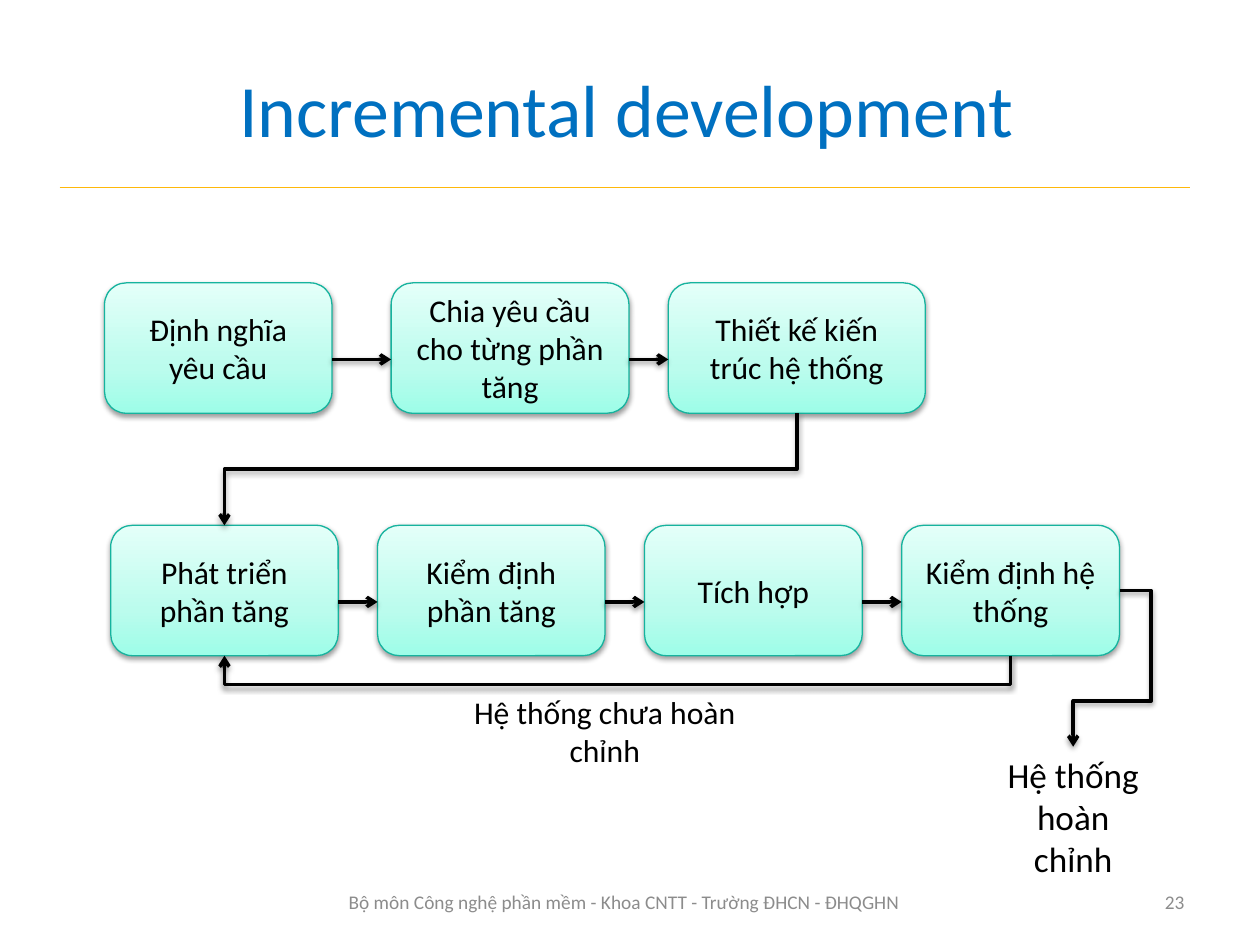
from copy import deepcopy
from itertools import pairwise

from lxml.etree import SubElement
from pptx import Presentation
from pptx.dml.color import RGBColor
from pptx.enum.shapes import MSO_CONNECTOR as CONN, MSO_SHAPE as SHAPE
from pptx.enum.text import MSO_ANCHOR as ANCHOR, PP_ALIGN as ALIGN
from pptx.oxml.ns import qn
from pptx.util import Pt

COLORS = {
    "title": "0070C0", "rule": "FEB80A", "ink": "000000", "footer": "8C8C8C",
    "edge": "16B39E", "low": "9DFDE8", "mid": "BBFCED", "high": "E4FFF9",
}
BOX_HEIGHT = 74.2
ARROW_DROP = 43.6  # from the top of a row to its arrows


def rgb(name):
    return RGBColor.from_string(COLORS[name])


class Diagram:
    font = "Calibri"

    def __init__(self, slide):
        self.shapes = slide.shapes

    def label(self, s, text, size, color="ink", align=ALIGN.CENTER, anchor=ANCHOR.MIDDLE):
        tf = s.text_frame
        tf.word_wrap = True
        tf.vertical_anchor = anchor
        p = tf.paragraphs[0]
        p.text = text
        p.alignment = align
        p.font.name, p.font.size = self.font, Pt(size)
        p.font.color.rgb = rgb(color)

    def text(self, x, y, w, h, text, size, **style):
        s = self.shapes.add_textbox(Pt(x), Pt(y), Pt(w), Pt(h))
        self.label(s, text, size, **style)

    def shadow(self, s):
        spPr = s.element.spPr
        effects = spPr.find(qn("a:effectLst"))
        if effects is None:
            effects = SubElement(spPr, qn("a:effectLst"))
        outer = SubElement(effects, qn("a:outerShdw"), blurRad=str(Pt(3.1)),
                           dist=str(Pt(1.6)), dir="5400000", rotWithShape="0")
        black = SubElement(outer, qn("a:srgbClr"), val=COLORS["ink"])
        SubElement(black, qn("a:alpha"), val="38000")

    def box(self, x, y, w, text):
        s = self.shapes.add_shape(SHAPE.ROUNDED_RECTANGLE, Pt(x), Pt(y), Pt(w), Pt(BOX_HEIGHT))
        s.fill.gradient()
        s.fill.gradient_angle = 90
        stops = s.element.spPr.find(".//" + qn("a:gsLst"))
        stops.append(deepcopy(stops[0]))
        for stop, pos, color in zip(s.fill.gradient_stops, (0, 0.35, 1), ("low", "mid", "high")):
            stop.position = pos
            stop.color.rgb = rgb(color)
        s.line.color.rgb, s.line.width = rgb("edge"), Pt(0.75)
        s.shadow.inherit = False
        self.shadow(s)
        self.label(s, text, 18)

    def row(self, x, y, steps):
        """Draw boxes (text, width, gap after) from left to right, joined by arrows."""
        spans = []
        for text, w, gap in steps:
            self.box(x, y, w, text)
            spans.append((x, x + w))
            x += w + gap
        for (_, start), (end, _) in pairwise(spans):
            self.arrow((start, y + ARROW_DROP), (end, y + ARROW_DROP))
        return spans

    def line(self, start, end, color, width):
        s = self.shapes.add_connector(CONN.STRAIGHT, *map(Pt, start + end))
        s.line.color.rgb, s.line.width = rgb(color), Pt(width)
        SubElement(s.element.spPr, qn("a:effectLst"))
        return s

    def arrow(self, *points):
        """Draw a straight arrow for two points, a routed one for more."""
        if len(points) == 2:
            s = self.line(*points, "ink", 2)
        else:
            first, *rest = [(Pt(x), Pt(y)) for x, y in points]
            route = self.shapes.build_freeform(*first)
            route.add_line_segments(rest, close=False)
            s = route.convert_to_shape()
            s.fill.background()
            s.line.color.rgb, s.line.width = rgb("ink"), Pt(2)
            s.shadow.inherit = False
        SubElement(s.element.spPr.find(qn("a:ln")), qn("a:tailEnd"), type="arrow")
        self.shadow(s)


def center(span):
    return sum(span) / 2


def main():
    prs = Presentation()
    prs.slide_width, prs.slide_height = Pt(717.12), Pt(537.84)
    d = Diagram(prs.slides.add_slide(prs.slide_layouts[6]))

    # Title and rule
    d.line((34, 106.6), (677.5, 106.6), "rule", 0.75)
    d.text(34, 16.6, 645, 90, "Incremental development", 42, color="title")

    # Two rows of steps
    top, low = 161, 299
    plan = d.row(59.5, top, [
        ("Định nghĩa yêu cầu", 129.5, 33.6),
        ("Chia yêu cầu cho từng phần tăng", 135.4, 22.4),
        ("Thiết kế kiến trúc hệ thống", 146.2, 0),
    ])
    build = d.row(63, low, [
        ("Phát triển phần tăng", 129.5, 22.4),
        ("Kiểm định phần tăng", 129.5, 22.4),
        ("Tích hợp", 124, 22.4),
        ("Kiểm định hệ thống", 124, 0),
    ])

    # Routed arrows: next row, repeat loop, way out
    first, design, test = center(build[0]), center(plan[-1]), center(build[-1])
    bottom = low + BOX_HEIGHT
    turn = (top + BOX_HEIGHT + low) / 2
    d.arrow((design, top + BOX_HEIGHT), (design, turn), (first, turn), (first, low))
    loop = bottom + 16.5
    d.arrow((test, bottom), (test, loop), (first, loop), (first, bottom))
    right, middle, done = build[-1][1], low + BOX_HEIGHT / 2, 610.8
    d.arrow((right, middle), (right + 18, middle), (right + 18, 399),
            (done, 399), (done, 425))

    # Outcome labels
    d.text(254.2, 391, 180, 51, "Hệ thống chưa hoàn chỉnh", 18, anchor=ANCHOR.TOP)
    d.text(done - 48, 425, 96, 80, "Hệ thống hoàn chỉnh", 20, anchor=ANCHOR.TOP)

    # Footer
    d.text(184.3, 499, 342, 28.8,
           "Bộ môn Công nghệ phần mềm - Khoa CNTT - Trường ĐHCN - ĐHQGHN", 11, color="footer")
    d.text(514, 499, 167.2, 28.8, "23", 11, color="footer", align=ALIGN.RIGHT)

    prs.save("out.pptx")


if __name__ == "__main__":
    main()
